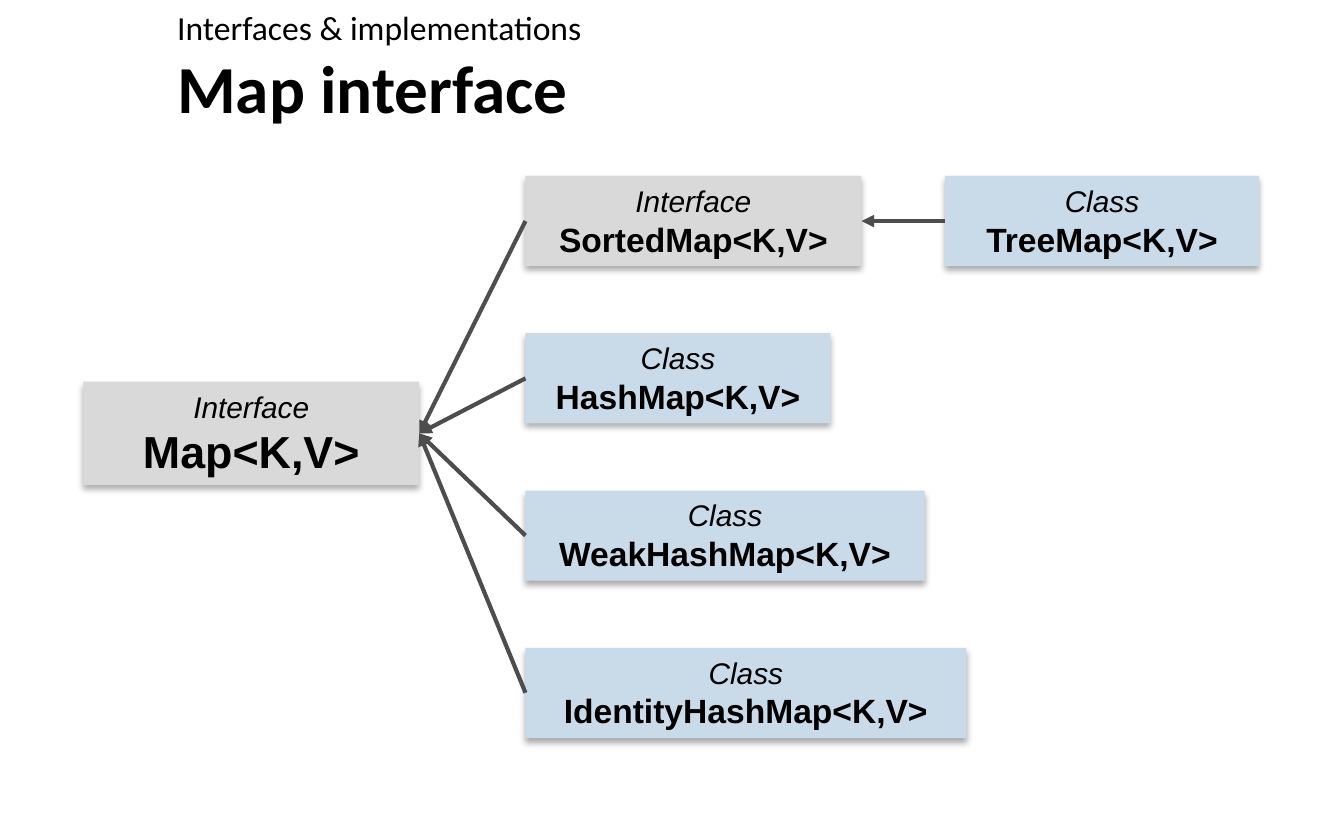
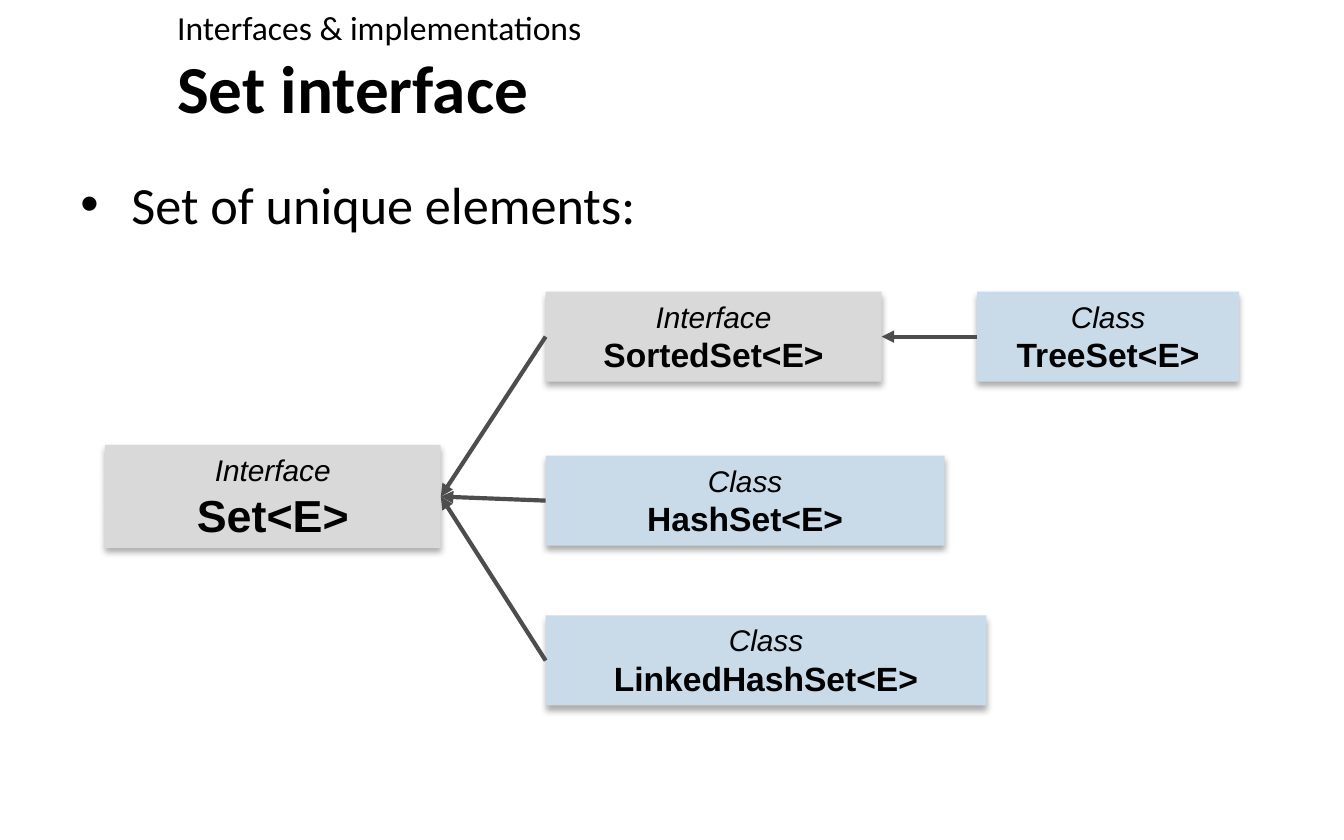
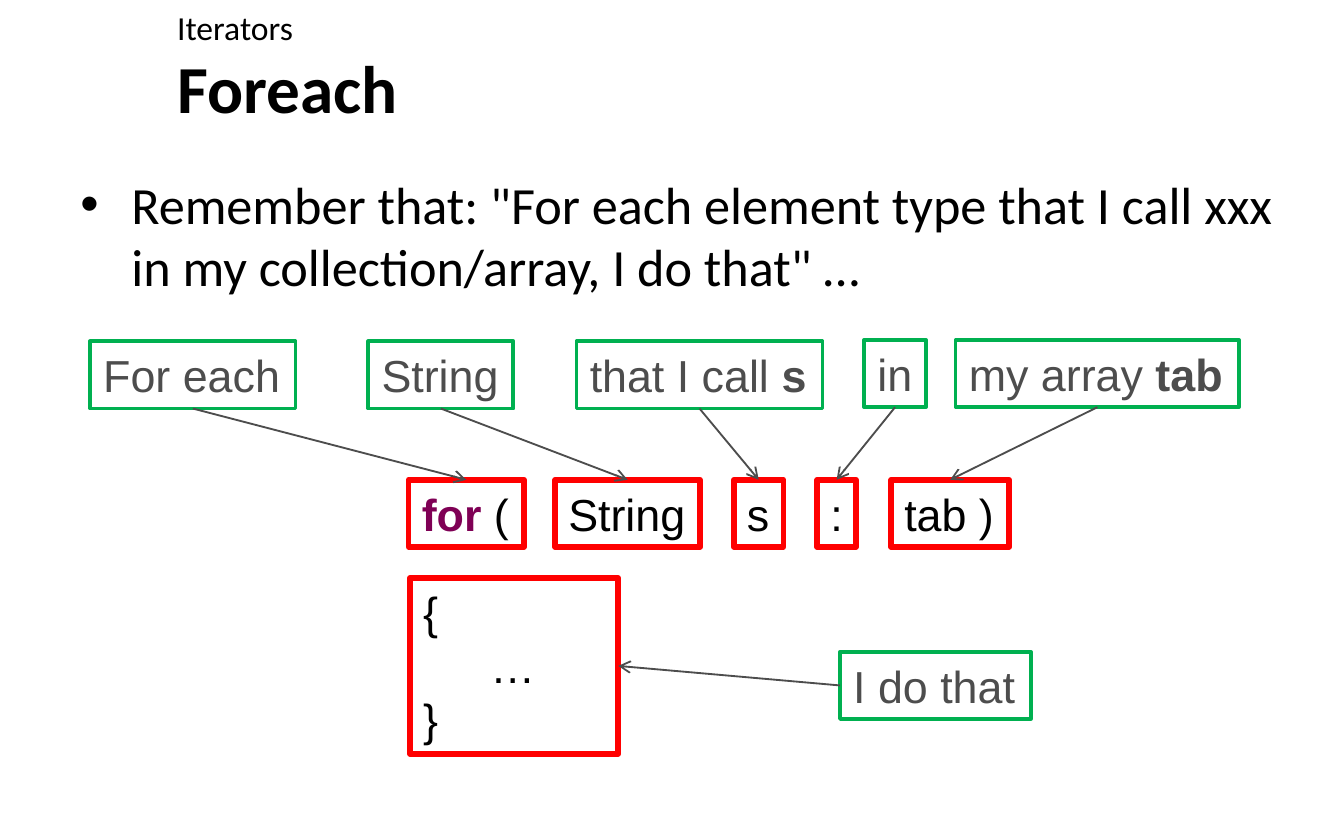
"""Build three slides on Java collection interfaces and the foreach loop."""
from lxml.etree import SubElement
from pptx import Presentation
from pptx.dml.color import RGBColor
from pptx.enum.shapes import MSO_CONNECTOR, MSO_SHAPE
from pptx.enum.text import MSO_ANCHOR, MSO_AUTO_SIZE, PP_ALIGN
from pptx.oxml.ns import qn
from pptx.util import Inches, Pt

color = RGBColor.from_string
BLACK, WHITE, DARK_GRAY = "000000", "FFFFFF", "4D4D4D"
TOP, LEFT, BOTTOM, RIGHT = range(4)
KIND_FILL = {"Interface": "D9D9D9", "Class": "C9DBE9"}

TITLE = {"name": "Calibri", "size": Pt(36), "bold": True}
SECTION = {"name": "Calibri", "size": Pt(18)}
BULLET = {"name": "Calibri", "size": Pt(28)}
KIND = {"name": "Arial", "size": Pt(16), "italic": True}
ROOT_NAME = {"name": "Arial", "size": Pt(24), "bold": True}
TYPE_NAME = {"name": "Arial", "size": Pt(18), "bold": True}
CODE = {"name": "Arial", "size": Pt(24)}
KEYWORD = {**CODE, "bold": True, "color": "7F0055"}
PHRASE = {**CODE, "color": DARK_GRAY}
STRONG = {**PHRASE, "bold": True}

PLAIN = {"word_wrap": True, "auto_size": MSO_AUTO_SIZE.NONE}
TYPE_FRAME = {"word_wrap": True, "auto_size": MSO_AUTO_SIZE.SHAPE_TO_FIT_TEXT}
CODE_FRAME = {"word_wrap": False, "auto_size": MSO_AUTO_SIZE.SHAPE_TO_FIT_TEXT}


def add_box(page, bounds, paragraphs, frame=PLAIN, fill=None, line=None, align=PP_ALIGN.LEFT, anchor=MSO_ANCHOR.TOP):
    """Add a box whose paragraphs are lists of (text, format) spans."""
    place = [Inches(value) for value in bounds]
    if fill or line:
        box = page.shapes.add_shape(MSO_SHAPE.RECTANGLE, *place)
        box.shadow.inherit = False
    else:
        box = page.shapes.add_textbox(*place)
    if fill:
        box.fill.solid()
        box.fill.fore_color.rgb = color(fill)
    else:
        box.fill.background()
    if line:
        box.line.color.rgb = color(line[0])
        box.line.width = Pt(line[1])
    else:
        box.line.fill.background()
    text_frame = box.text_frame
    for name, value in {**frame, "vertical_anchor": anchor}.items():
        setattr(text_frame, name, value)
    for index, spans in enumerate(paragraphs):
        para = text_frame.add_paragraph() if index else text_frame.paragraphs[0]
        para.alignment = align
        for text, style in spans:
            span = para.add_run()
            span.text = text
            span.font.color.rgb = color(style.get("color", BLACK))
            for name, value in style.items():
                if name != "color":
                    setattr(span.font, name, value)
    return box


def add_arrow(page, start, start_side, end, end_side, width, head):
    """Join two boxes with a straight arrow."""
    arrow = page.shapes.add_connector(MSO_CONNECTOR.STRAIGHT, 0, 0, 0, 0)
    arrow.begin_connect(start, start_side)
    arrow.end_connect(end, end_side)
    arrow.line.color.rgb = color(DARK_GRAY)
    arrow.line.width = Pt(width)
    SubElement(arrow.line._get_or_add_ln(), qn("a:tailEnd"), type=head)
    SubElement(arrow._element.spPr, qn("a:effectLst"))


deck = Presentation()
deck.slide_width, deck.slide_height = Inches(10), Inches(6.25)

headings = [
    ("Interfaces & implementations", "Map interface", None),
    ("Interfaces & implementations", "Set interface", "Set of unique elements:"),
    ("Iterators", "Foreach",
     'Remember that: "For each element type that I call xxx in my collection/array, I do that" …'),
]
pages = []
for section, title, bullet in headings:
    page = deck.slides.add_slide(deck.slide_layouts[6])
    pages.append(page)
    add_box(page, (1.22, 0.37, 8.51, 0.55), [[(title, TITLE)]], anchor=MSO_ANCHOR.MIDDLE)
    add_box(page, (1.22, 0, 8.51, 0.37), [[(section, SECTION)]])
    if bullet:
        body = add_box(page, (0.5, 1.23, 9.23, 4.63), [[(bullet, BULLET)]])
        properties = body.text_frame.paragraphs[0]._p.get_or_add_pPr()
        properties.set("marL", str(Inches(0.38)))
        properties.set("indent", str(-Inches(0.38)))
        SubElement(properties, qn("a:buFont"), typeface="Arial")
        SubElement(properties, qn("a:buChar"), char="•")

hierarchies = [
    [
        ("Interface", "Map<K,V>", 0.62, 2.84, 2.5),
        ("Interface", "SortedMap<K,V>", 3.91, 1.31, 2.5),
        ("Class", "HashMap<K,V>", 3.91, 2.48, 2.27),
        ("Class", "WeakHashMap<K,V>", 3.91, 3.65, 2.97),
        ("Class", "IdentityHashMap<K,V>", 3.91, 4.82, 3.28),
        ("Class", "TreeMap<K,V>", 7.03, 1.31, 2.34),
    ],
    [
        ("Interface", "Set<E>", 0.78, 3.31, 2.5),
        ("Interface", "SortedSet<E>", 4.06, 2.17, 2.5),
        ("Class", "HashSet<E>", 4.06, 3.39, 2.97),
        ("Class", "LinkedHashSet<E>", 4.06, 4.58, 3.28),
        ("Class", "TreeSet<E>", 7.27, 2.17, 1.95),
    ],
]
for page, hierarchy in zip(pages, hierarchies):
    boxes = []
    for kind, name, left, top, width in hierarchy:
        height, style = (0.67, TYPE_NAME) if boxes else (0.77, ROOT_NAME)
        box = add_box(page, (left, top, width, height), [[(kind, KIND)], [(name, style)]],
                      TYPE_FRAME, fill=KIND_FILL[kind], align=PP_ALIGN.CENTER)
        effects = box._element.spPr.find(qn("a:effectLst"))
        shadow = SubElement(effects, qn("a:outerShdw"), blurRad=str(Pt(3.5)), dist=str(Pt(2.2)),
                            dir="5400000", rotWithShape="0")
        shade = SubElement(shadow, qn("a:srgbClr"), val=BLACK)
        SubElement(shade, qn("a:alpha"), val="32000")
        boxes.append(box)
    root, sorted_type, *classes, tree = boxes
    for child, parent in [(tree, sorted_type), (sorted_type, root)] + [(item, root) for item in classes]:
        add_arrow(page, child, LEFT, parent, RIGHT, 2.25, "triangle")

page = pages[2]
code_look = {"frame": CODE_FRAME, "line": ("FF0000", 3)}
phrase_look = {"frame": CODE_FRAME, "fill": WHITE, "line": ("00B050", 2)}
tokens = [
    (3.04, 0.86, [("for", KEYWORD), (" (", CODE)]),
    (4.13, 1.08, [("String", CODE)]),
    (5.46, 0.37, [("s", CODE)]),
    (6.08, 0.29, [(":", CODE)]),
    (6.63, 0.88, [("tab )", CODE)]),
]
phrases = [
    (0.67, 2.54, 1.53, [("For each", PHRASE)]),
    (2.74, 2.54, 1.08, [("String", PHRASE)]),
    (4.29, 2.54, 1.83, [("that I call ", PHRASE), ("s", STRONG)]),
    (6.43, 2.53, 0.46, [("in", PHRASE)]),
    (7.11, 2.53, 2.11, [("my array ", PHRASE), ("tab", STRONG)]),
]
for (token_left, token_width, token), (left, top, width, phrase) in zip(tokens, phrases):
    token_box = add_box(page, (token_left, 3.57, token_width, 0.5), [token], **code_look)
    phrase_box = add_box(page, (left, top, width, 0.5), [phrase], **phrase_look)
    add_arrow(page, phrase_box, BOTTOM, token_box, TOP, 1, "arrow")

block = add_box(page, (3.05, 4.3, 1.55, 1.31), [[(text, CODE)] for text in ("{", "\t…", "}")], **code_look)
action = add_box(page, (6.25, 4.85, 1.42, 0.5), [[("I do that", PHRASE)]], **phrase_look)
add_arrow(page, action, LEFT, block, RIGHT, 1, "arrow")

deck.save("out.pptx")
